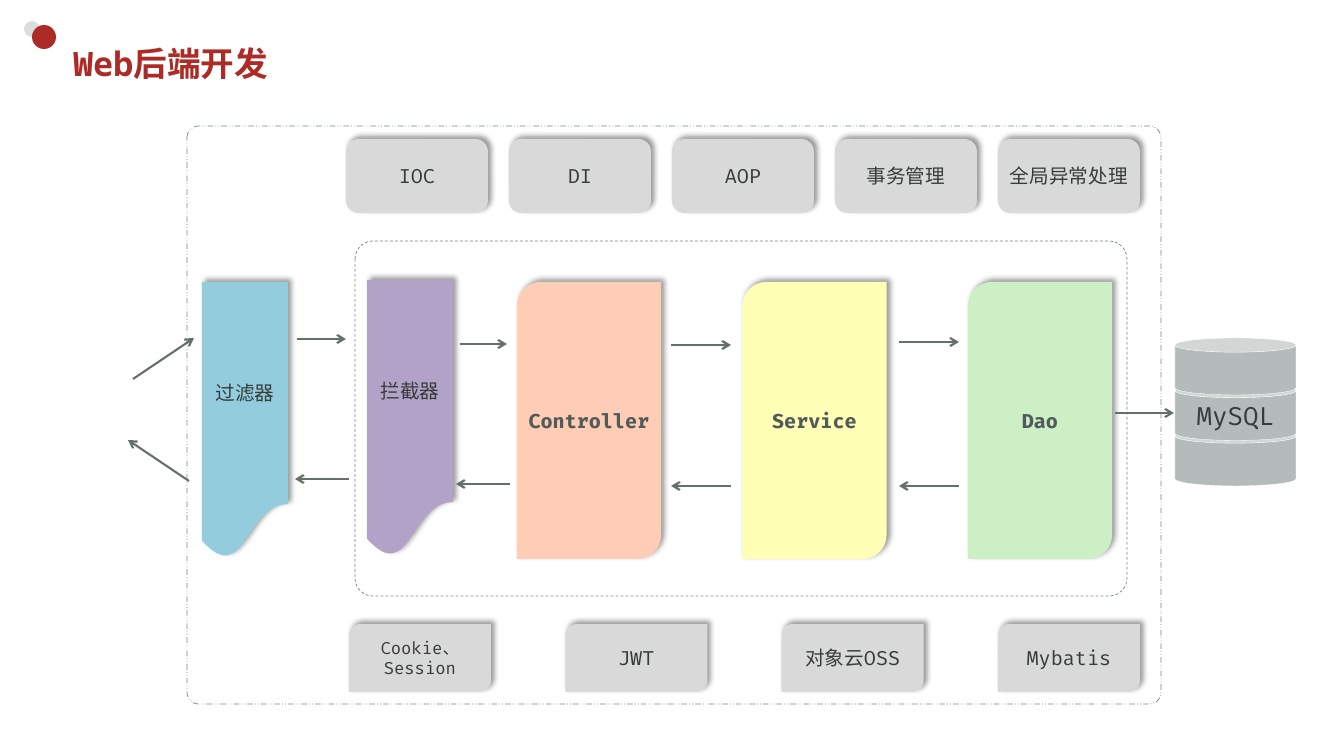
from dataclasses import dataclass

from lxml.etree import SubElement
from pptx import Presentation
from pptx.dml.color import RGBColor
from pptx.enum.dml import MSO_LINE as Dash
from pptx.enum.shapes import MSO_CONNECTOR as Link
from pptx.enum.shapes import MSO_SHAPE as Kind
from pptx.enum.text import MSO_ANCHOR as Anchor
from pptx.enum.text import MSO_AUTO_SIZE as AutoSize
from pptx.enum.text import PP_ALIGN as Align
from pptx.oxml.ns import qn
from pptx.util import Emu, Pt

SLIDE_W, SLIDE_H = 1344, 756
EMU_PER_PX = 12192000 / SLIDE_W


@dataclass(frozen=True)
class Theme:
    red: str = "AD2B26"
    pale: str = "DADDDC"
    ink: str = "363C3B"
    stage_ink: str = "525B5A"
    frame: str = "788583"
    arrow: str = "65706E"
    tile: str = "D9D9D9"
    drum: str = "B4BBBA"
    white: str = "FFFFFF"
    filter: str = "93CDDD"
    interceptor: str = "B3A2C7"
    controller: str = "FFCCB6"
    service: str = "FFFFB6"
    dao: str = "CCEFC6"
    title_font: str = "Noto Sans Mono"
    font: str = "Fira Code"
    title_size: int = 24
    database_size: int = 18
    body_size: int = 14
    small_size: int = 12


THEME = Theme()


def px(length):
    return Emu(round(length * EMU_PER_PX))


def rgb(colour):
    return RGBColor.from_string(colour)


def write(frame, text, size, colour=THEME.ink, font=THEME.font, bold=False,
          align=Align.CENTER, insets=(10, 5)):
    frame.word_wrap = True
    frame.auto_size = AutoSize.NONE
    frame.vertical_anchor = Anchor.MIDDLE
    frame.margin_left = frame.margin_right = px(insets[0])
    frame.margin_top = frame.margin_bottom = px(insets[1])
    paragraph = frame.paragraphs[0]
    paragraph.alignment = align
    run = paragraph.add_run()
    run.text = text
    run.font.name = font
    run.font.size = Pt(size)
    run.font.bold = bold
    run.font.color.rgb = rgb(colour)


def add_block(shapes, kind, box, fill=None, line=None, width=0.5, dash=None):
    block = shapes.add_shape(kind, *map(px, box))
    block.shadow.inherit = False
    if fill:
        block.fill.solid()
        block.fill.fore_color.rgb = rgb(fill)
    else:
        block.fill.background()
    if line:
        block.line.color.rgb = rgb(line)
        block.line.width = Pt(width)
        if dash:
            block.line.dash_style = dash
    else:
        block.line.fill.background()
    return block


def add_raised(shapes, kind, box, fill):
    block = add_block(shapes, kind, box, fill)
    effects = block._element.spPr.find(qn("a:effectLst"))
    shadow = SubElement(effects, qn("a:outerShdw"), blurRad=str(Pt(4)), dist=str(Pt(3)),
                        dir=str(315 * 60000), algn="bl", rotWithShape="0")
    black = SubElement(shadow, qn("a:srgbClr"), val="000000")
    SubElement(black, qn("a:alpha"), val="40000")
    return block


def add_arrow(shapes, x1, y1, x2, y2):
    arrow = shapes.add_connector(Link.STRAIGHT, *map(px, (x1, y1, x2, y2)))
    arrow.line.color.rgb = rgb(THEME.arrow)
    arrow.line.width = Pt(1.5)
    SubElement(arrow.line._get_or_add_ln(), qn("a:tailEnd"), type="arrow")
    SubElement(arrow._element.spPr, qn("a:effectLst"))


def build_header(slide, box):
    left, top, width, height = box
    add_block(slide.shapes, Kind.OVAL, (left - 39, top - 16, 16, 16), THEME.pale)
    add_block(slide.shapes, Kind.OVAL, (left - 31, top - 12, 24, 24), THEME.red)
    title = slide.shapes.title
    title.left, title.top, title.width, title.height = map(px, box)
    write(title.text_frame, "Web后端开发", THEME.title_size, THEME.red,
          THEME.title_font, True, Align.LEFT)


def build_frames(slide, outer, inner):
    for box, corner, dash in ((inner, 0.05, Dash.DASH),
                              (outer, 0.02, Dash.DASH_DOT_DOT)):
        frame = add_block(slide.shapes, Kind.ROUNDED_RECTANGLE, box,
                          line=THEME.frame, dash=dash)
        frame.adjustments[0] = corner


def build_tiles(slide, box, kind, labels):
    left, top, width, height = box
    tile_width = 142
    pitch = (width - tile_width) / (len(labels) - 1)
    for index, (label, size) in enumerate(labels):
        tile = add_raised(slide.shapes, kind,
                          (left + index * pitch, top, tile_width, height), THEME.tile)
        write(tile.text_frame, label, size, insets=(0, 5))


def build_stages(slide, box):
    left, top, width, height = box
    stages = (("Controller", THEME.controller), ("Service", THEME.service),
              ("Dao", THEME.dao))
    stage_width = 144
    pitch = (width - stage_width) / (len(stages) - 1)
    for index, (label, fill) in enumerate(stages):
        stage = add_raised(slide.shapes, Kind.ROUND_2_DIAG_RECTANGLE,
                           (left + index * pitch, top, stage_width, height), fill)
        write(stage.text_frame, label, THEME.body_size, THEME.stage_ink,
              bold=True, insets=(0, 0))


def build_gate(slide, box, label, fill):
    gate = add_raised(slide.shapes, Kind.FLOWCHART_DOCUMENT, box, fill)
    write(gate.text_frame, label, THEME.body_size)


def build_database(slide, box):
    left, top, width, height = box
    drum_height = 57
    pitch = (height - drum_height) / 2
    database = slide.shapes.add_group_shape()
    for level, label in ((2, None), (1, "MySQL"), (0, None)):
        drum = add_block(database.shapes, Kind.CAN,
                         (left, top + level * pitch, width, drum_height),
                         THEME.drum, THEME.white, 0.25)
        if label:
            write(drum.text_frame, label, THEME.database_size)


def build_arrows(slide, box):
    left, top, width, height = box
    requests = ((5, 41, 66, 0), (169, 1, 218, 1), (332, 6, 379, 6), (543, 7, 603, 7),
                (771, 4, 831, 4), (987, 75, width, 75))
    responses = ((831, height, 771, height), (603, height, 543, height),
                 (382, 146, 328, 146), (221, 141, 167, 141), (61, 143, 0, 102))
    for x1, y1, x2, y2 in requests + responses:
        add_arrow(slide.shapes, left + x1, top + y1, left + x2, top + y2)


def main():
    deck = Presentation()
    deck.slide_width, deck.slide_height = px(SLIDE_W), px(SLIDE_H)
    slide = deck.slides.add_slide(deck.slide_layouts[5])
    body, small = THEME.body_size, THEME.small_size
    build_header(slide, (63, 37, 1183, 53))
    build_frames(slide, (187, 126, 974, 578), (355, 241, 772, 355))
    build_stages(slide, (517, 282, 595, 277))
    build_database(slide, (1175, 338, 121, 148))
    build_gate(slide, (202, 282, 86, 277), "过滤器", THEME.filter)
    build_gate(slide, (367, 280, 86, 277), "拦截器", THEME.interceptor)
    build_arrows(slide, (128, 338, 1046, 148))
    build_tiles(slide, (346, 139, 794, 74), Kind.ROUNDED_RECTANGLE,
                [(label, body) for label in ("IOC", "DI", "AOP", "事务管理", "全局异常处理")])
    build_tiles(slide, (349, 624, 791, 68), Kind.ROUND_2_DIAG_RECTANGLE,
                [("Cookie、Session", small), ("JWT", body), ("对象云OSS", body),
                 ("Mybatis", body)])
    deck.save("out.pptx")


if __name__ == "__main__":
    main()
